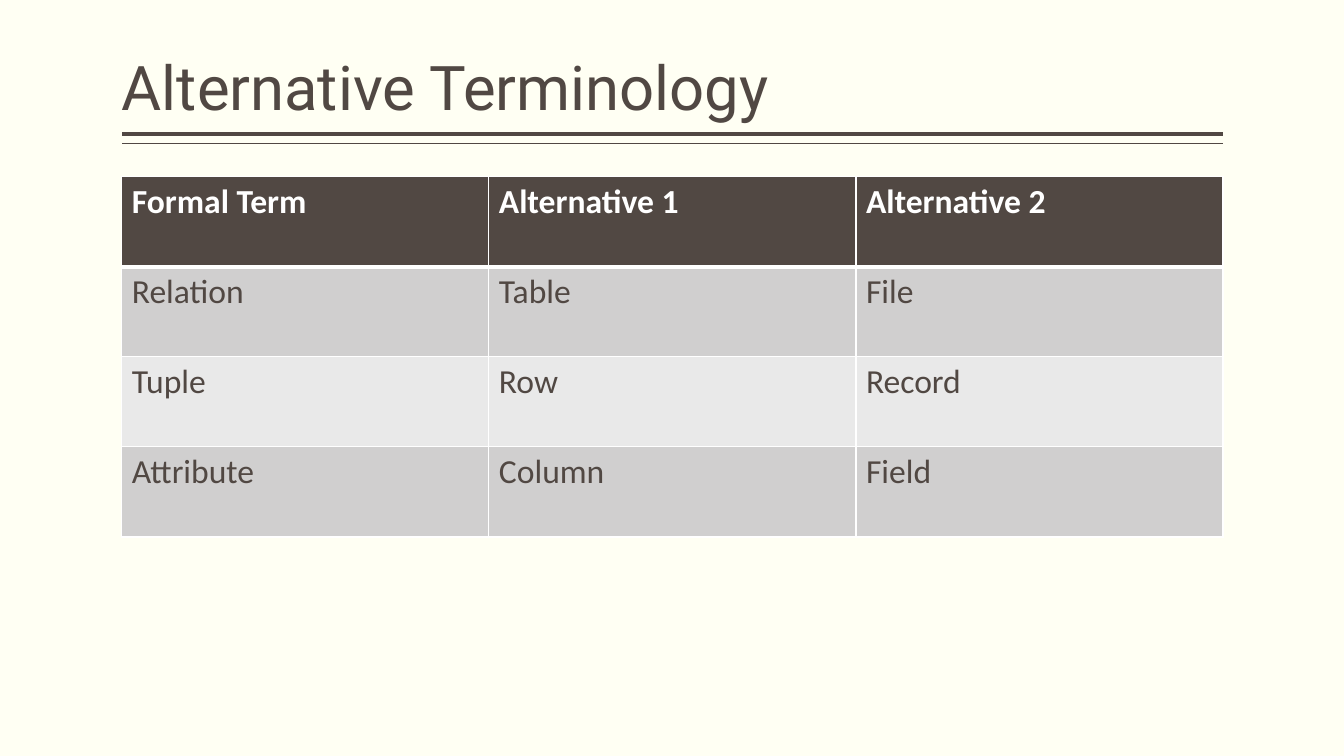
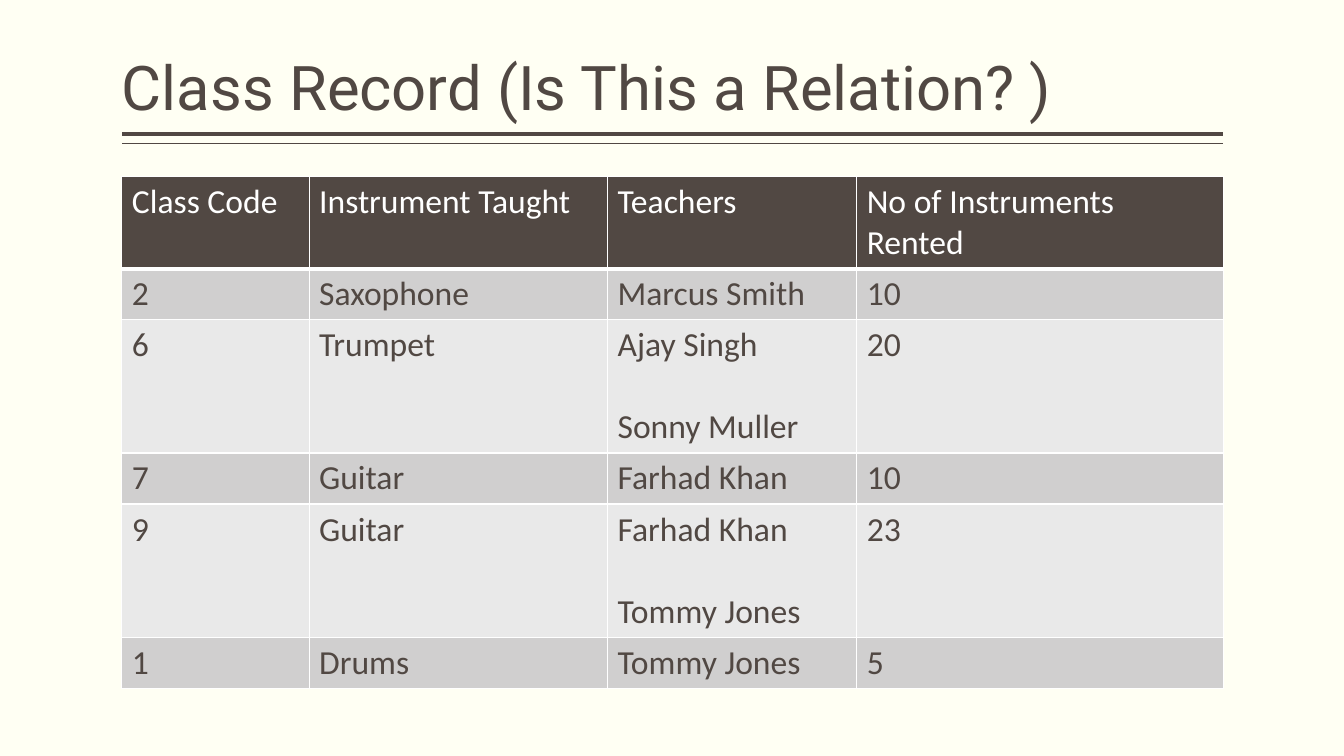
"""Build two slides on relational terminology, each with a ruled title and a table."""

from dataclasses import dataclass

from lxml import etree
from pptx import Presentation
from pptx.dml.color import RGBColor
from pptx.enum.shapes import MSO_CONNECTOR
from pptx.enum.text import MSO_ANCHOR, MSO_AUTO_SIZE, PP_ALIGN
from pptx.oxml.ns import qn
from pptx.slide import Slide
from pptx.table import _Cell
from pptx.util import Cm, Pt

STRAIGHT = MSO_CONNECTOR.STRAIGHT
ANCHOR_BOTTOM = MSO_ANCHOR.BOTTOM
NO_AUTOFIT = MSO_AUTO_SIZE.NONE
ALIGN_LEFT = PP_ALIGN.LEFT

COLORS = {
    "background": "FFFFF3",
    "dark": "514843",
    "white": "FFFFFF",
    "band_odd": "D0CFCF",
    "band_even": "E9E9E9",
}
LEFT = Cm(3.07)
CONTENT_WIDTH = Cm(27.74)
TABLE_TOP = Cm(4.45)
TITLE_ONLY_LAYOUT = 5

TITLE_BOX = {"left": LEFT, "top": Cm(0.2), "width": CONTENT_WIDTH, "height": Cm(3.05)}
TITLE_FRAME = {
    "vertical_anchor": ANCHOR_BOTTOM,
    "auto_size": NO_AUTOFIT,
    "word_wrap": True,
    "margin_left": 0,
    "margin_right": 0,
}
TITLE_PARAGRAPH = {"alignment": ALIGN_LEFT, "line_spacing": 0.9}
TITLE_FONT = {"name": "Roboto", "size": Pt(44)}
CELL_FONT = {"name": "Calibri", "size": Pt(24)}
NAME_GAP = Pt(29.3)
THIN, THICK = Pt(1), Pt(3)


@dataclass(frozen=True)
class TitleRule:
    top: float
    weight: int


@dataclass(frozen=True)
class TableSlide:
    title: str
    header_bold: bool
    column_widths: list[float]
    row_heights: list[float]
    rows: list[list[str]]


TITLE_RULES = [TitleRule(3.38, THICK), TitleRule(3.62, THIN)]

TABLE_SLIDES = [
    TableSlide(
        title="Alternative Terminology",
        header_bold=True,
        column_widths=[9.25] * 3,
        row_heights=[2.27] * 4,
        rows=[
            ["Formal Term", "Alternative 1", "Alternative 2"],
            ["Relation", "Table", "File"],
            ["Tuple", "Row", "Record"],
            ["Attribute", "Column", "Field"],
        ],
    ),
    TableSlide(
        title="Class Record (Is This a Relation? )",
        header_bold=False,
        column_widths=[4.72, 7.52, 6.28, 9.25],
        row_heights=[2.28, 1.28, 3.35, 1.28, 3.35, 1.28],
        rows=[
            ["Class Code", "Instrument Taught", "Teachers", "No of Instruments Rented"],
            ["2", "Saxophone", "Marcus Smith", "10"],
            ["6", "Trumpet", "Ajay Singh\nSonny Muller", "20"],
            ["7", "Guitar", "Farhad Khan", "10"],
            ["9", "Guitar", "Farhad Khan\nTommy Jones", "23"],
            ["1", "Drums", "Tommy Jones", "5"],
        ],
    ),
]


def color(name: str) -> RGBColor:
    return RGBColor.from_string(COLORS[name])


def apply_format(target: object, values: dict) -> None:
    for attribute, value in values.items():
        setattr(target, attribute, value)


def add_title(slide: Slide, text: str) -> None:
    title = slide.shapes.title
    apply_format(title, TITLE_BOX)
    title.text_frame.text = text
    apply_format(title.text_frame, TITLE_FRAME)
    paragraph = title.text_frame.paragraphs[0]
    apply_format(paragraph, TITLE_PARAGRAPH)
    font = paragraph.runs[0].font
    apply_format(font, TITLE_FONT)
    font.color.rgb = color("dark")


def add_title_rule(slide: Slide, rule: TitleRule) -> None:
    top = Cm(rule.top)
    connector = slide.shapes.add_connector(
        STRAIGHT, LEFT + CONTENT_WIDTH, top, LEFT, top
    )
    connector.line.color.rgb = color("dark")
    connector.line.width = rule.weight
    etree.SubElement(connector._element.spPr, qn("a:effectLst"))


def set_borders(cell: _Cell, top: int, bottom: int) -> None:
    properties = cell._tc.get_or_add_tcPr()
    weights = {"a:lnL": THIN, "a:lnR": THIN, "a:lnT": top, "a:lnB": bottom}
    for tag, weight in weights.items():
        border = etree.SubElement(properties, qn(tag), w=str(int(weight)))
        fill = etree.SubElement(border, qn("a:solidFill"))
        etree.SubElement(fill, qn("a:srgbClr"), val=COLORS["white"])


def fill_cell(cell: _Cell, text: str, row_index: int, header_bold: bool) -> None:
    is_header = row_index == 0
    band = "band_odd" if row_index % 2 else "band_even"
    set_borders(
        cell,
        top=THICK if row_index == 1 else THIN,
        bottom=THICK if is_header else THIN,
    )
    cell.fill.solid()
    cell.fill.fore_color.rgb = color("dark" if is_header else band)
    cell.text = text
    for index, paragraph in enumerate(cell.text_frame.paragraphs):
        if index:
            paragraph.space_before = NAME_GAP
        font = paragraph.runs[0].font
        apply_format(font, CELL_FONT)
        font.bold = is_header and header_bold
        font.color.rgb = color("white" if is_header else "dark")


def add_data_table(slide: Slide, content: TableSlide) -> None:
    table = slide.shapes.add_table(
        len(content.rows),
        len(content.column_widths),
        LEFT,
        TABLE_TOP,
        Cm(sum(content.column_widths)),
        Cm(sum(content.row_heights)),
    ).table
    for column, width in zip(table.columns, content.column_widths):
        column.width = Cm(width)
    for row, height in zip(table.rows, content.row_heights):
        row.height = Cm(height)
    for row_index, texts in enumerate(content.rows):
        for column_index, text in enumerate(texts):
            cell = table.cell(row_index, column_index)
            fill_cell(cell, text, row_index, content.header_bold)


def main() -> None:
    presentation = Presentation()
    presentation.slide_width = Cm(33.87)
    presentation.slide_height = Cm(19.05)
    background = presentation.slide_master.background.fill
    background.solid()
    background.fore_color.rgb = color("background")
    for content in TABLE_SLIDES:
        slide = presentation.slides.add_slide(
            presentation.slide_layouts[TITLE_ONLY_LAYOUT]
        )
        for rule in TITLE_RULES:
            add_title_rule(slide, rule)
        add_title(slide, content.title)
        add_data_table(slide, content)
    presentation.save("out.pptx")


if __name__ == "__main__":
    main()
